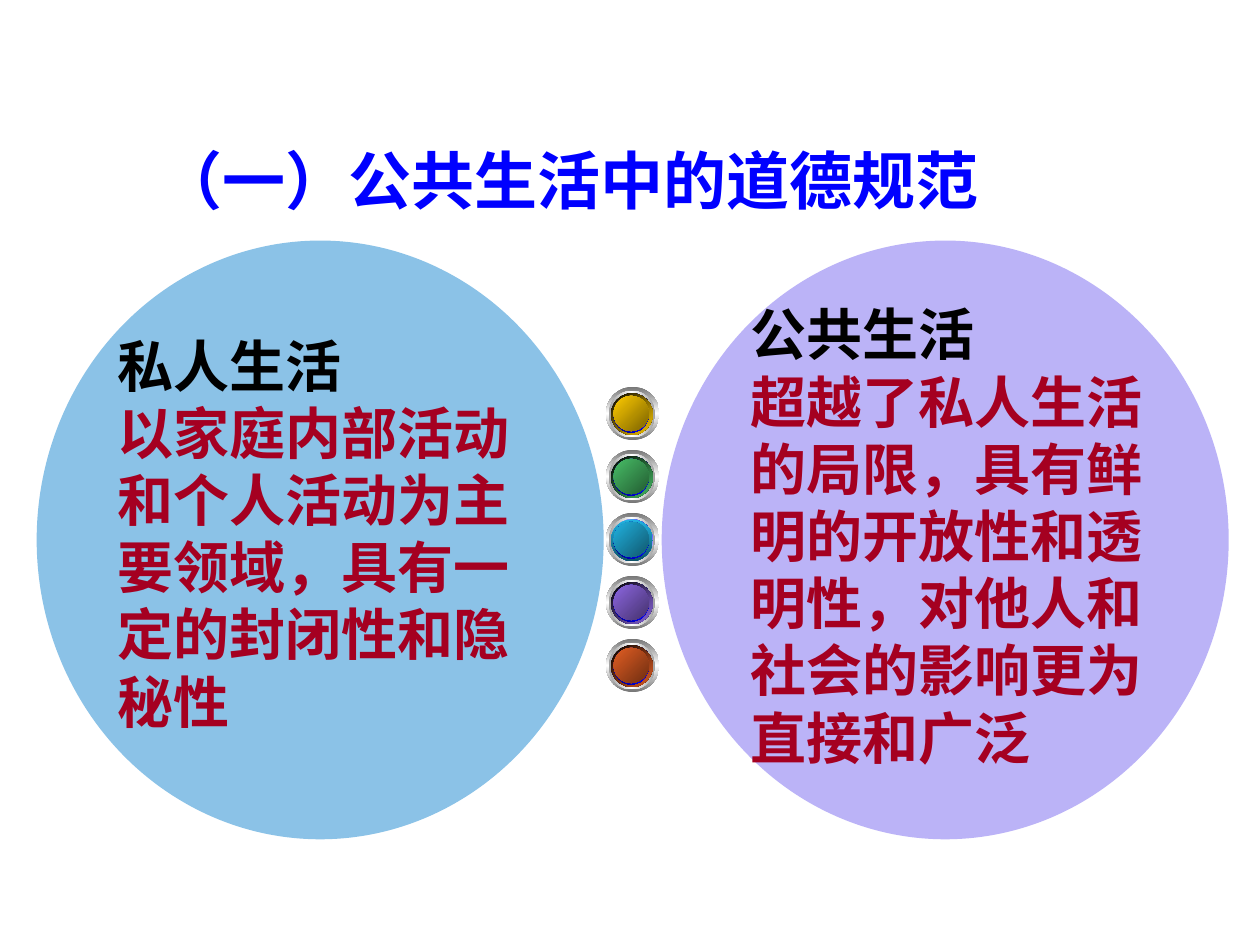
from dataclasses import dataclass

from lxml import etree
from pptx import Presentation
from pptx.dml.color import RGBColor
from pptx.enum import shapes, text
from pptx.oxml import ns
from pptx.util import Cm, Pt


@dataclass(frozen=True)
class Theme:
    font: str = "Arial"
    title_size: int = 36
    body_size: int = 32
    title: str = "0000FF"
    heading: str = "000000"
    body: str = "A50021"
    private: str = "8BC2E7"
    public: str = "BBB3F7"


THEME = Theme()

# Circle left, circle colour, text box (left, top, width, height), heading, body
TOPICS = [
    (13.34, THEME.public, (14.88, 5.92, 9.19, 9.75), "公共生活",
     "超越了私人生活的局限，具有鲜明的开放性和透明性，对他人和社会的影响更为直接和广泛"),
    (0.74, THEME.private, (2.11, 6.55, 8.99, 8.38), "私人生活",
     "以家庭内部活动和个人活动为主要领域，具有一定的封闭性和隐秘性"),
]
CIRCLE_TOP, CIRCLE_WIDTH, CIRCLE_HEIGHT = 4.85, 11.43, 12.07

# Rim colours, rim angle, face colours
BUTTONS = [
    (("000000", "FFCC00"), 45, ("FFCC00", "7C6300")),
    (("000000", "48BE67"), 45, ("48BE67", "235C32")),
    (("21B3E1", "0F5368"), 90, ("21B3E1", "10576D")),
    (("000000", "8D67E1"), 45, ("8D67E1", "45326D")),
    (("000000", "E35E23"), 45, ("E35E23", "6E2E11")),
]
BUTTON_LEFT, BUTTON_TOP, BUTTON_STEP = 12.22, 7.8, 1.27


def add_ellipse(parent, left, top, width, height):
    s = parent.shapes.add_shape(
        shapes.MSO_SHAPE.OVAL, Cm(left), Cm(top), Cm(width), Cm(height))
    s.shadow.inherit = False
    s.line.fill.background()
    return s


def set_gradient(s, colors, angle):
    """Fill with evenly spaced stops; the angle runs clockwise."""
    s.fill.gradient()
    s.fill.gradient_angle = -angle % 360
    stops = s.fill._fill._gradFill.find(ns.qn("a:gsLst"))
    for stop in list(stops):
        stops.remove(stop)
    for i, color in enumerate(colors):
        stop = etree.SubElement(stops, ns.qn("a:gs"),
                                pos=str(100000 * i // (len(colors) - 1)))
        etree.SubElement(stop, ns.qn("a:srgbClr"), val=color)


def write_text(s, lines, size):
    """Write (text, colour) pairs as bold, left-aligned paragraphs."""
    tf = s.text_frame
    frame_format = {
        "word_wrap": True,
        "auto_size": text.MSO_AUTO_SIZE.SHAPE_TO_FIT_TEXT,
        "vertical_anchor": text.MSO_ANCHOR.TOP,
    }
    for name, value in frame_format.items():
        setattr(tf, name, value)
    for i, (line, color) in enumerate(lines):
        p = tf.add_paragraph() if i else tf.paragraphs[0]
        p.alignment = text.PP_ALIGN.LEFT
        r = p.add_run()
        r.text = line
        for name, value in {"name": THEME.font, "size": Pt(size), "bold": True}.items():
            setattr(r.font, name, value)
        r.font.color.rgb = RGBColor.from_string(color)


def add_title(slide, title):
    s = slide.shapes.title
    s.left, s.top, s.width, s.height = Cm(2.97), Cm(2.72), Cm(18.26), Cm(1.78)
    write_text(s, [(title, THEME.title)], THEME.title_size)


def add_topic(slide, left, color, box, heading, body):
    group = slide.shapes.add_group_shape()
    circle = add_ellipse(group, left, CIRCLE_TOP, CIRCLE_WIDTH, CIRCLE_HEIGHT)
    circle.fill.solid()
    circle.fill.fore_color.rgb = RGBColor.from_string(color)
    s = group.shapes.add_textbox(*map(Cm, box))
    write_text(s, [(heading, THEME.heading), (body, THEME.body)], THEME.body_size)


def add_button(slide, top, rim, rim_angle, face):
    """Stack the metal rings, coloured rim and face of one round button."""
    layers = [  # offset x, offset y, width, height, colours, angle
        (0, 0, 1.07, 1.07, ("767676", "FFFFFF", "767676"), 90),
        (0.05, 0.08, 0.94, 0.94, ("A2A2A2", "FFFFFF", "A2A2A2"), 0),
        (0.1, 0.13, 0.84, 0.84, ("FFFFFF", "0000FF", "FFFFFF"), 45),
        (0.1, 0.13, 0.84, 0.84, rim, rim_angle),
        (0.15, 0.18, 0.71, 0.74, ("00008A", "0000FF", "00008A"), 315),
        (0.15, 0.18, 0.71, 0.71, face, 45),
    ]
    group = slide.shapes.add_group_shape()
    for dx, dy, width, height, colors, angle in layers:
        s = add_ellipse(group, BUTTON_LEFT + dx, top + dy, width, height)
        set_gradient(s, colors, angle)


def main():
    prs = Presentation()
    prs.slide_width, prs.slide_height = Cm(25.4), Cm(19.05)
    slide = prs.slides.add_slide(prs.slide_layouts.get_by_name("Title Only"))
    add_title(slide, "（一）公共生活中的道德规范")
    for topic in TOPICS:
        add_topic(slide, *topic)
    for i, button in enumerate(BUTTONS):
        add_button(slide, BUTTON_TOP + i * BUTTON_STEP, *button)
    prs.save("out.pptx")


if __name__ == "__main__":
    main()
